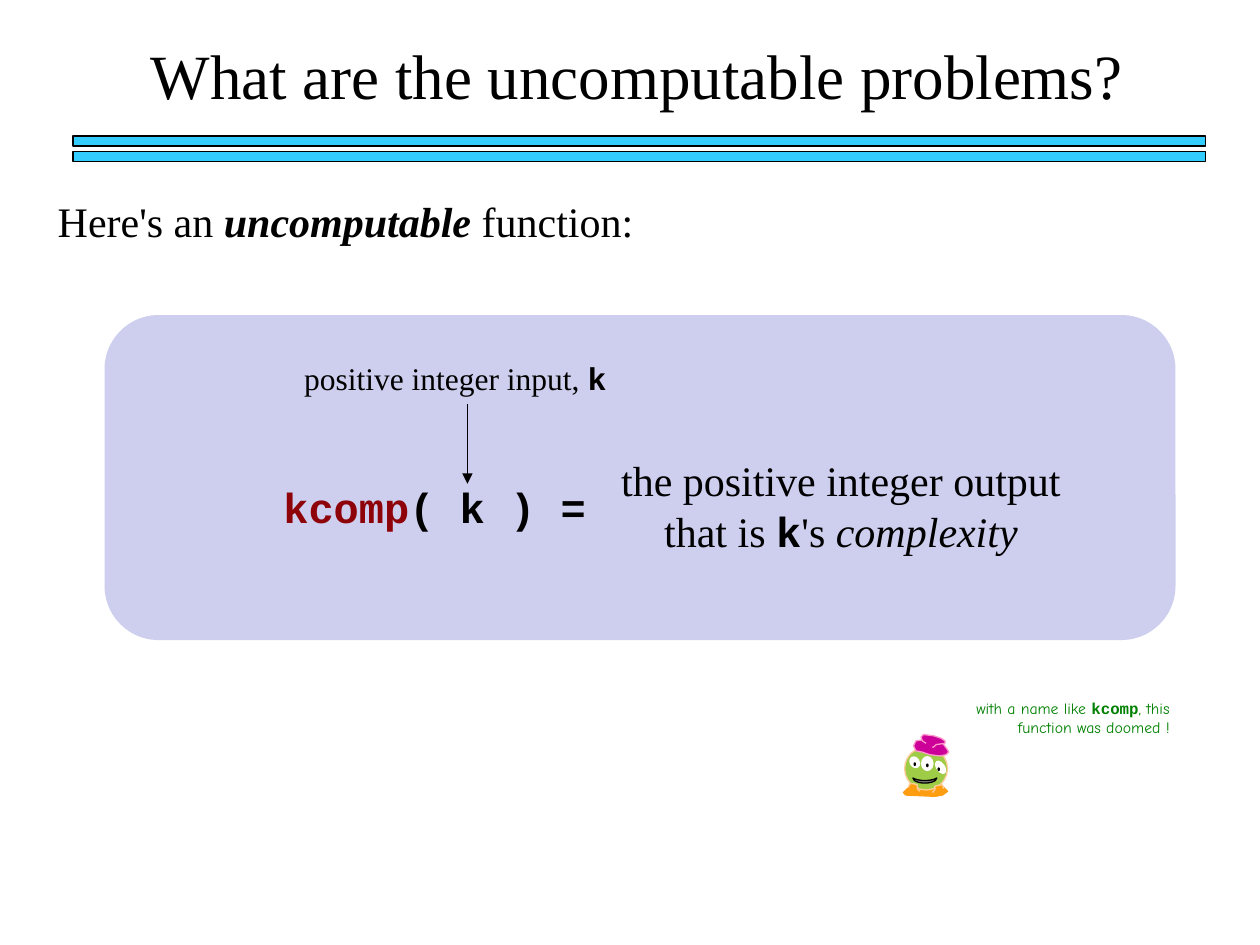
from lxml.etree import SubElement
from pptx import Presentation
from pptx.dml.color import RGBColor
from pptx.enum.shapes import MSO_CONNECTOR, MSO_SHAPE
from pptx.enum.text import PP_ALIGN
from pptx.oxml.ns import qn
from pptx.util import Inches, Pt

SERIF, MONO, HAND = "Times New Roman", "Courier New", "Comic Neue"
BLACK, RED, GREEN = "000000", "8E030A", "008000"
SKY, LILAC, LIME, WHITE = "33CCFF", "CECEEF", "9ECC46", "FFFFFF"
ORANGE, PEACH, MAGENTA, PINK = "FD9D0F", "FFCC99", "CC0099", "FF99CC"
LEFT, CENTER, RIGHT = PP_ALIGN.LEFT, PP_ALIGN.CENTER, PP_ALIGN.RIGHT

BAR_TOPS = (1.08, 1.2)
MONO_BOLD = {"name": MONO, "bold": True}

TEXTS = [
    ((1.02, 0.24, 8.07, 0.7), CENTER, 36, SERIF, BLACK, True,
     [("What are the uncomputable problems?", {})]),
    ((0.36, 1.5, 4.82, 0.5), LEFT, 24, SERIF, BLACK, False,
     [("Here's an ", {}), ("uncomputable ", {"bold": True, "italic": True}),
      ("function:", {})]),
    ((2.11, 2.8, 3.16, 0.4), CENTER, 18, SERIF, BLACK, True,
     [("positive integer input, ", {}), ("k ", MONO_BOLD)]),
    ((2.15, 3.77, 3.69, 0.5), LEFT, 24, MONO, BLACK, True,
     [("kcomp", {"bold": True, "color": RED}), ("( k ) =", {"bold": True})]),
    ((4.66, 3.56, 4.03, 0.91), CENTER, 24, SERIF, BLACK, True,
     [("the positive integer output that is ", {}), ("k", MONO_BOLD),
      ("'s ", {}), ("complexity", {"italic": True})]),
    ((7.33, 5.5, 2.05, 0.4), RIGHT, 9, HAND, GREEN, True,
     [("with a name like ", {}), ("kcomp", MONO_BOLD),
      (", this function was doomed !", {})]),
]

FEET = [(735, 620), (747, 623), (752, 628), (748, 631), (742, 632), (719, 631),
        (717, 629), (720, 626), (726, 622), (730, 620)]
HAIR = [
    [(734, 587), (727, 588), (725, 592), (727, 596), (732, 597), (738, 599),
     (746, 600), (751, 599), (753, 597), (752, 595), (749, 591)],
    [(735, 590), (732, 588), (731, 585), (733, 583), (741, 584), (747, 586),
     (750, 588), (750, 590), (743, 591), (741, 593), (740, 593)],
]
LEGS = [
    [(721, 625), (722, 622), (725, 622), (728, 623), (728, 626), (730, 628)],
    [(749, 626), (748, 623), (746, 623), (742, 624), (742, 627), (740, 629)],
]
EYES = [((7.22, 6, 0.08, 0.1), 327.2), ((7.31, 6, 0.1, 0.12), 0),
        ((7.43, 6.03, 0.07, 0.12), 325.5)]
PUPILS = [(7.25, 6.05), (7.35, 6.06), (7.44, 6.09)]


def rgb(color):
    return RGBColor.from_string(color)


def paint(sp, fill, line=None):
    sp.shadow.inherit = False
    sp.fill.solid()
    sp.fill.fore_color.rgb = rgb(fill)
    if line:
        sp.line.color.rgb = rgb(line)
        sp.line.width = Pt(0.75)
    else:
        sp.line.fill.background()
    return sp


def add_shape(shapes, kind, box, fill, line=None, rotation=0):
    sp = paint(shapes.add_shape(kind, *map(Inches, box)), fill, line)
    sp.rotation = rotation
    return sp


def add_outline(shapes, points, fill, line, close=False):
    fb = shapes.build_freeform(*points[0], scale=Inches(0.01))
    fb.add_line_segments(points[1:], close=close)
    return paint(fb.convert_to_shape(), fill, line)


def add_text(shapes, box, align, size, font, color, wrap, runs):
    tf = shapes.add_textbox(*map(Inches, box)).text_frame
    tf.word_wrap = wrap
    p = tf.paragraphs[0]
    p.alignment = align
    p.font.size = Pt(size)
    for text, style in runs:
        r = p.add_run()
        r.text = text
        r.font.name = style.get("name", font)
        r.font.bold = style.get("bold", False)
        r.font.italic = style.get("italic", False)
        r.font.color.rgb = rgb(style.get("color", color))


def add_arrow(shapes, x, top, bottom):
    c = shapes.add_connector(MSO_CONNECTOR.STRAIGHT,
                             *map(Inches, (x, top, x, bottom)))
    c.line.color.rgb = rgb(BLACK)
    c.line.width = Pt(0.75)
    SubElement(c.line._get_or_add_ln(), qn("a:tailEnd"), type="triangle")
    SubElement(c._element.spPr, qn("a:effectLst"))


def add_alien(shapes):
    add_outline(shapes, FEET, ORANGE, ORANGE, close=True)
    add_shape(shapes, MSO_SHAPE.OVAL, (7.18, 5.93, 0.34, 0.34), LIME, PEACH)
    for box, rotation in EYES:
        add_shape(shapes, MSO_SHAPE.OVAL, box, WHITE, rotation=rotation)
    for x, y in PUPILS:
        add_shape(shapes, MSO_SHAPE.OVAL, (x, y, 0.02, 0.03), BLACK)
    add_shape(shapes, MSO_SHAPE.MOON, (7.32, 6.1, 0.04, 0.19), "808080", BLACK, 270)
    for lock in HAIR:
        add_outline(shapes, lock, MAGENTA, PINK)
    for leg in LEGS:
        add_outline(shapes, leg, ORANGE, PEACH)


def main():
    prs = Presentation()
    prs.slide_width, prs.slide_height = Inches(10), Inches(7.5)
    s = prs.slides.add_slide(prs.slide_layouts[6])
    add_shape(s.shapes, MSO_SHAPE.ROUNDED_RECTANGLE, (0.83, 2.5, 8.5, 2.58), LILAC)
    bars = s.shapes.add_group_shape().shapes
    for top in BAR_TOPS:
        add_shape(bars, MSO_SHAPE.RECTANGLE, (0.58, top, 8.99, 0.08), SKY, BLACK)
    add_arrow(s.shapes, 3.71, 3.21, 3.84)
    add_alien(s.shapes.add_group_shape().shapes)
    for text in TEXTS:
        add_text(s.shapes, *text)
    prs.save("out.pptx")


if __name__ == "__main__":
    main()
